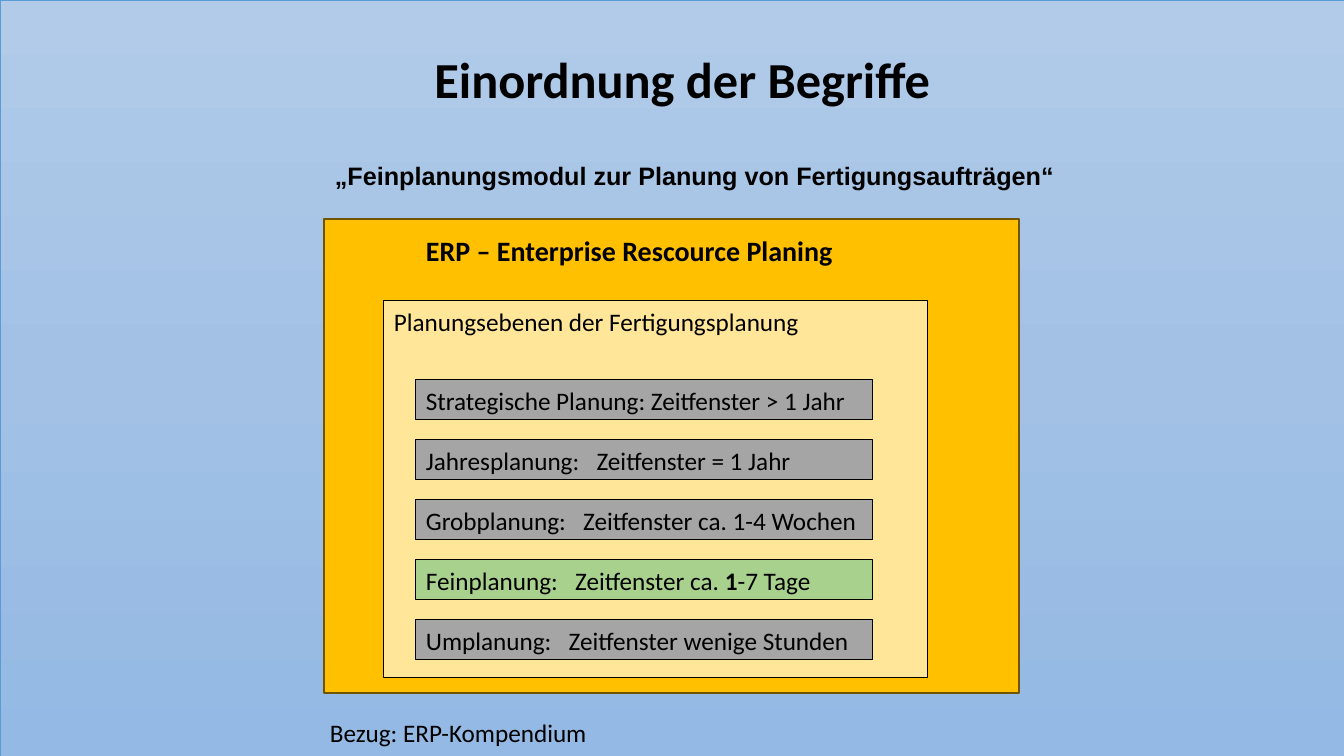
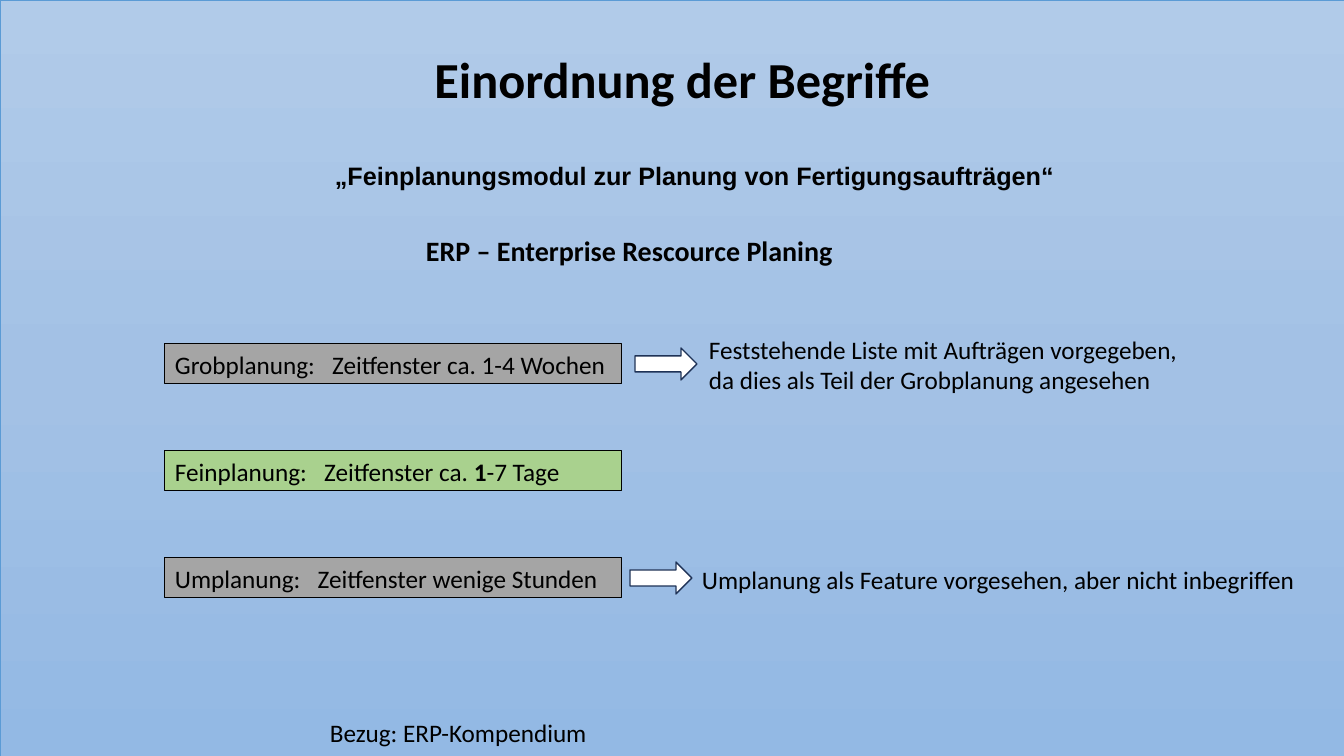
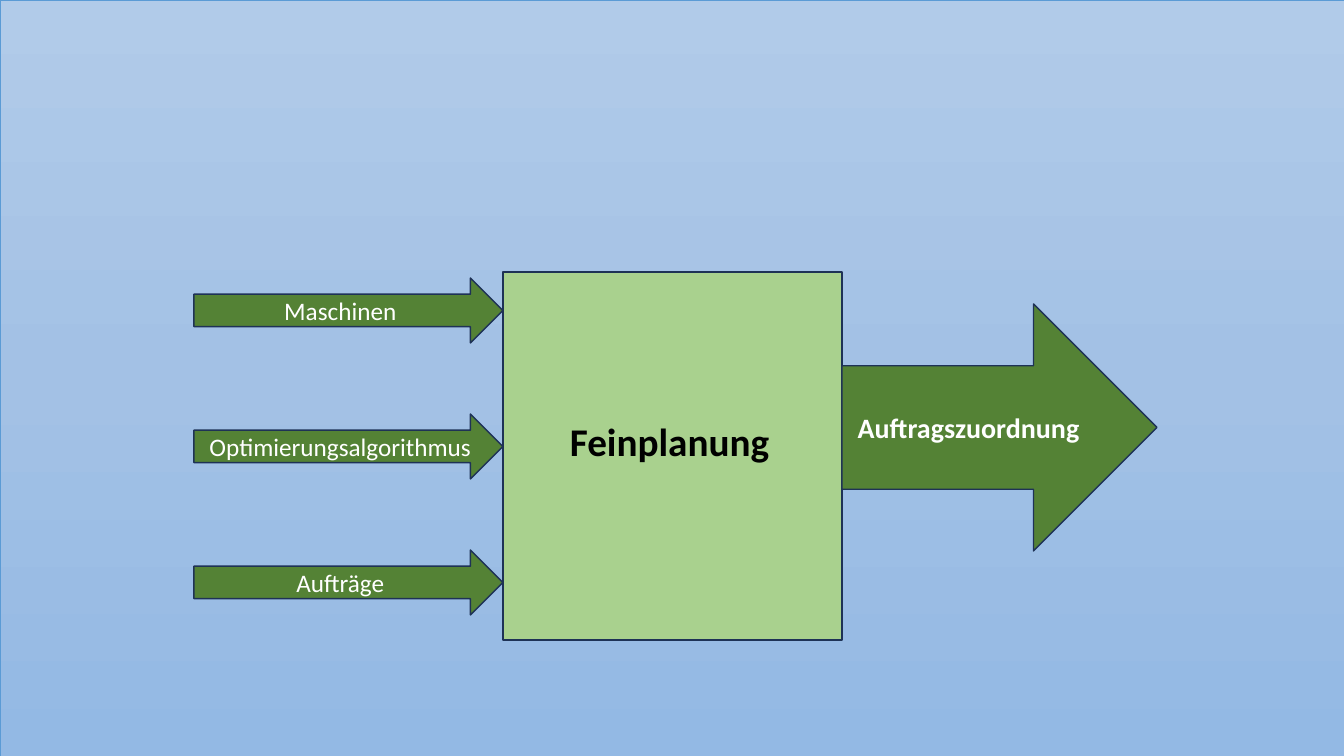
"""Build three slides that place detailed production scheduling within ERP planning."""
from copy import deepcopy
from dataclasses import dataclass

from pptx import Presentation
from pptx.dml.color import RGBColor
from pptx.enum.shapes import MSO_SHAPE
from pptx.enum.text import MSO_ANCHOR, PP_ALIGN
from pptx.oxml.ns import qn
from pptx.util import Pt


@dataclass(frozen=True)
class Theme:
    font: str = "Calibri"
    quote_font: str = "Arial"
    title: int = 36
    name: int = 28
    heading: int = 20
    body: int = 18
    black: str = "000000"
    white: str = "FFFFFF"
    navy: str = "1E3256"
    blue: str = "5B9BD5"
    sky: tuple = ("B1CBE9", "A3C1E5", "93B9E4")
    amber: str = "FFC000"
    brown: str = "705400"
    cream: str = "FFE699"
    gray: str = "A5A5A5"
    light_green: str = "A9D18E"
    green: str = "548235"


T = Theme()
W, H = 1344, 756
PX = 12192000 / W
GAP = 810


def box(s, x, y, w, h, fill=None, line=T.black, weight=0.75, kind=MSO_SHAPE.RECTANGLE):
    """Add a preset shape, or a text box when kind is None."""
    place = [round(v * PX) for v in (x, y, w, h)]
    if kind is None:
        return s.shapes.add_textbox(*place)
    sp = s.shapes.add_shape(kind, *place)
    sp.shadow.inherit = False
    if fill:
        sp.fill.solid()
        sp.fill.fore_color.rgb = RGBColor.from_string(fill)
    sp.line.color.rgb = RGBColor.from_string(line)
    sp.line.width = Pt(weight)
    return sp


def write(sp, *runs, size=T.body, bold=False, color=T.black, font=T.font, centred=False):
    """Write runs given as text, or as (text, bold, spacing), into one paragraph."""
    tf = sp.text_frame
    tf.word_wrap = True
    tf.vertical_anchor = MSO_ANCHOR.MIDDLE if centred else MSO_ANCHOR.TOP
    p = tf.paragraphs[0]
    p.alignment = PP_ALIGN.CENTER if centred else PP_ALIGN.LEFT
    for run in runs:
        text, strong, spacing = (run, bold, 0) if isinstance(run, str) else run
        r = p.add_run()
        r.text = text
        r.font.name = font
        r.font.size = Pt(size)
        r.font.bold = strong
        r.font.color.rgb = RGBColor.from_string(color)
        if spacing:
            r.font._element.set("spc", str(spacing))


prs = Presentation()
prs.slide_width, prs.slide_height = round(W * PX), round(H * PX)

for layout in (5, 5, 6):
    s = prs.slides.add_slide(prs.slide_layouts[layout])
    sky = box(s, 0, 0, W, H, line=T.blue, weight=0.5)
    sky.fill.gradient()
    sky.fill.gradient_angle = 270
    stops = sky._element.spPr.find(qn("a:gradFill")).find(qn("a:gsLst"))
    stops.insert(1, deepcopy(stops[0]))
    for i, stop in enumerate(sky.fill.gradient_stops):
        stop.position = i / 2
        stop.color.rgb = RGBColor.from_string(T.sky[i])
    title = s.shapes.title
    if title is not None:
        s.shapes._spTree.append(title._element)
        title.left, title.top, title.width, title.height = (
            round(v * PX) for v in (103, 9, 1159, 146))
        write(title, "Einordnung der Begriffe", size=T.title, bold=True, centred=True)
        title.text_frame.paragraphs[0].line_spacing = 0.9

overview, scope, flow = prs.slides

panel = box(overview, 324, 219, 695, 474, T.amber, T.brown, 1)
levels = box(overview, 384, 301, 544, 377, T.cream)
write(levels, "Planungsebenen der Fertigungsplanung")

gap = (" ", False, GAP)
strategic = ("Strategische Planung: Zeitfenster > 1 Jahr",)
yearly = ("Jahresplanung:", gap, "Zeitfenster = 1 Jahr")
rough = ("Grobplanung:", gap, "Zeitfenster ca. 1-4 Wochen")
fine = ("Feinplanung:", gap, "Zeitfenster ca. ", ("1", True, 0), "-7 Tage")
replan = ("Umplanung:", gap, "Zeitfenster wenige Stunden")

for s, x, top, step, bars in (
    (overview, 416, 380, 60, (strategic, yearly, rough, fine, replan)),
    (scope, 165, 344, 107, (rough, fine, replan)),
):
    write(box(s, 325, 155, 749, 40, kind=None),
          "„Feinplanungsmodul zur Planung von Fertigungsaufträgen“",
          bold=True, font=T.quote_font)
    write(box(s, 416, 229, 533, 44, kind=None),
          "ERP – Enterprise Rescource Planing", size=T.heading, bold=True)
    for i, bar in enumerate(bars):
        fill = T.light_green if bar is fine else T.gray
        write(box(s, x, top + i * step, 457, 40, fill), *bar)
    write(box(s, 320, 712, 754, 40, kind=None), "Bezug: ERP-Kompendium")

for x, y, note_x, note_y, w, h, note in (
    (635, 348, 699, 329, 518, 72,
     "Feststehende Liste mit Aufträgen vorgegeben, da dies als Teil der Grobplanung angesehen"),
    (630, 562, 692, 559, 630, 40,
     "Umplanung als Feature vorgesehen, aber nicht inbegriffen"),
):
    write(box(scope, note_x, note_y, w, h, kind=None), note)
    box(scope, x, y, 62, 32, T.white, T.navy, 1, MSO_SHAPE.RIGHT_ARROW)

box(flow, 503, 272, 339, 368, T.light_green, T.navy, 1)
write(box(flow, 560, 412, 223, 57, kind=None), "Feinplanung", size=T.name, bold=True)
for i, label in enumerate(("Maschinen", "Optimierungsalgorithmus", "Aufträge")):
    arrow = box(flow, 194, 278 + i * 136, 309, 65, T.green, T.navy, 1, MSO_SHAPE.RIGHT_ARROW)
    write(arrow, label, color=T.white, centred=True)
result = box(flow, 842, 304, 315, 247, T.green, T.navy, 1, MSO_SHAPE.RIGHT_ARROW)
write(result, "Auftragszuordnung", size=T.heading, bold=True, color=T.white, centred=True)

prs.save("out.pptx")
